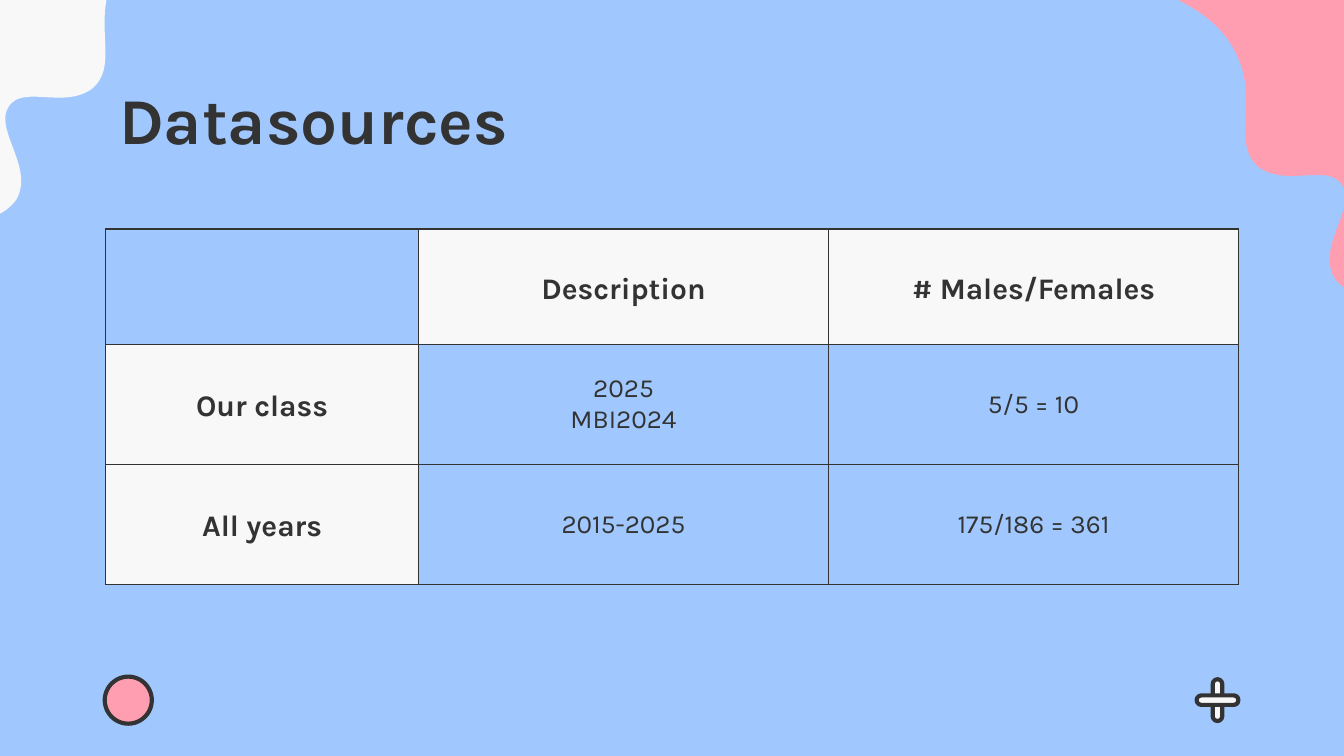
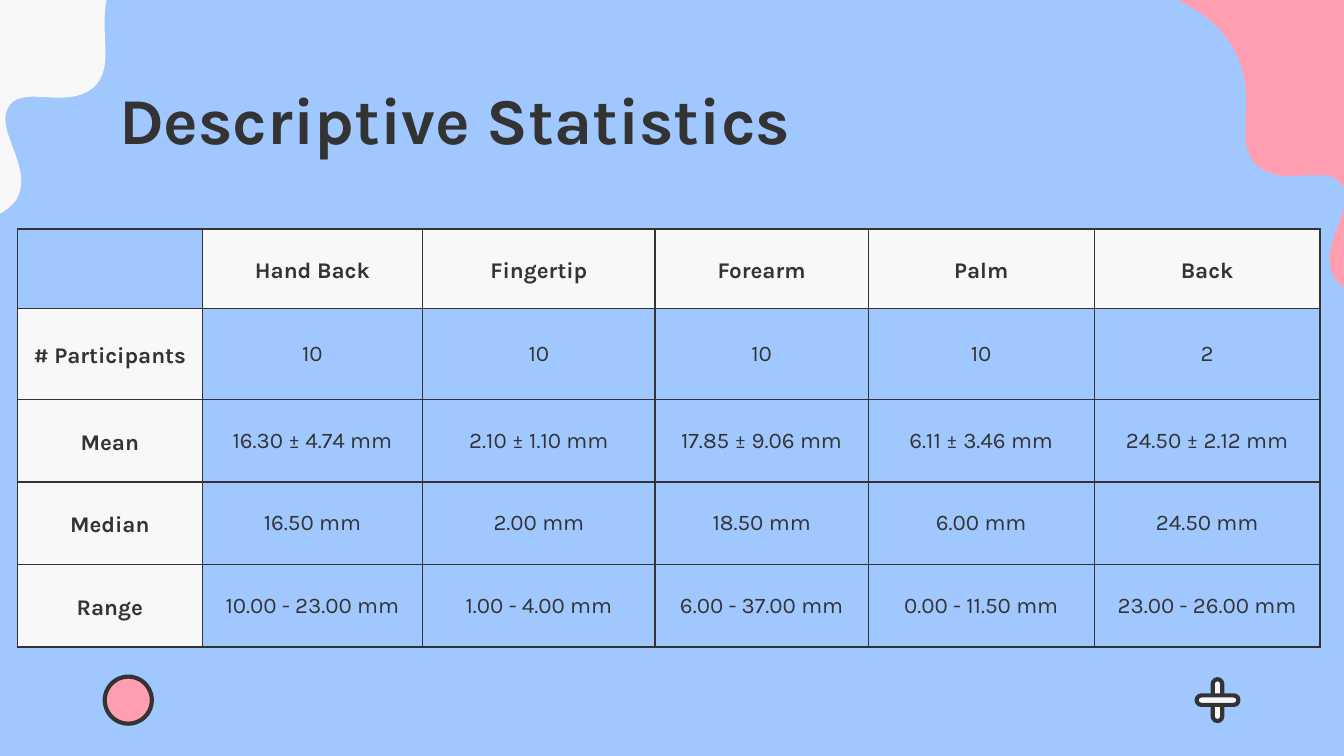
from math import cos, radians, sin

from lxml import etree
from pptx import Presentation
from pptx.dml.color import RGBColor
from pptx.enum.shapes import MSO_SHAPE
from pptx.enum.text import MSO_ANCHOR, PP_ALIGN
from pptx.oxml.ns import qn
from pptx.util import Cm, Pt

MIDDLE, TOP = MSO_ANCHOR.MIDDLE, MSO_ANCHOR.TOP
CENTER, LEFT = PP_ALIGN.CENTER, PP_ALIGN.LEFT
OVAL, ROUNDED = MSO_SHAPE.OVAL, MSO_SHAPE.ROUNDED_RECTANGLE

COLORS = {"sky": "A0C8FF", "pink": "FF9EB1", "paper": "F8F8F8", "ink": "333333"}
FONT = "Karla"
BLANK_LAYOUT = 6
TABLE_TOP = 4.33

SLIDES = [
    {
        "title": "Datasources",
        "left": 2.0,
        "columns": [5.91, 7.75, 7.75],
        "rows": [2.18, 2.27, 2.27],
        "label_size": 16,
        "value_size": 14,
        "cells": [
            ["", "Description", "# Males/Females"],
            ["Our class", "2025\nMBI2024", "5/5 = 10"],
            ["All years", "2015-2025", "175/186 = 361"],
        ],
    },
    {
        "title": "Descriptive Statistics",
        "left": 0.33,
        "columns": [3.49, 4.17, 4.39, 4.03, 4.27, 4.27],
        "rows": [1.5, 1.72, 1.56, 1.56, 1.56],
        "label_size": 12,
        "value_size": 12,
        "cells": [
            ["", "Hand Back", "Fingertip", "Forearm", "Palm", "Back"],
            ["# Participants", "10", "10", "10", "10", "2"],
            ["Mean", "16.30 ± 4.74 mm", "2.10 ± 1.10 mm", "17.85 ± 9.06 mm",
             "6.11 ± 3.46 mm", "24.50 ± 2.12 mm"],
            ["Median", "16.50 mm", "2.00 mm", "18.50 mm", "6.00 mm", "24.50 mm"],
            ["Range", "10.00 - 23.00 mm", "1.00 - 4.00 mm", "6.00 - 37.00 mm",
             "0.00 - 11.50 mm", "23.00 - 26.00 mm"],
        ],
    },
]

BLOB_TILT = -20.4
BLOB_CENTER = (25.1, 2.02)
BLOB_START = (26.14, 5.69)
BLOB_CURVES = [
    [(25.86, 5.69), (25.43, 5.56), (25.22, 5.26)],
    [(24.87, 4.65), (25.68, 3.91), (25.35, 3.48)],
    [(25.07, 3.1), (24.28, 3.56), (23.77, 3.15)],
    [(23.27, 2.69), (23.8, 1.91), (23.37, 1.04)],
    [(22.81, -0.18), (21.03, -0.28), (21.08, -0.56)],
    [(21.13, -0.97), (24.69, -1.57), (26.85, 0.43)],
    [(27.1, 0.66), (28.12, 1.63), (28.17, 2.95)],
    [(28.19, 4.32), (27.15, 5.72), BLOB_START],
]
MIRROR_WIDTH, MIRROR_RISE = 25.53, 1.48


def rgb(name):
    return RGBColor.from_string(COLORS[name])


def mirror(point):
    return MIRROR_WIDTH - point[0], point[1] - MIRROR_RISE


def turn(point, center, degrees):
    x, y = point[0] - center[0], point[1] - center[1]
    c, s = cos(radians(degrees)), sin(radians(degrees))
    return center[0] + x * c - y * s, center[1] + x * s + y * c


def style_shape(shape, fill, outlined):
    shape.shadow.inherit = False
    shape.fill.solid()
    shape.fill.fore_color.rgb = rgb(fill)
    if outlined:
        shape.line.color.rgb = rgb("ink")
        shape.line.width = Pt(2.25)
    else:
        shape.line.fill.background()


def lines_to_curves(shape):
    lines = list(shape._element.iter(qn("a:lnTo")))
    for index in range(0, len(lines), 3):
        curve = etree.Element(qn("a:cubicBezTo"))
        lines[index].addprevious(curve)
        for line in lines[index:index + 3]:
            curve.append(line[0])
            line.getparent().remove(line)


def add_blob(page, points, center, tilt, fill):
    upright = [turn(point, center, -tilt) for point in points]
    outline = [(Cm(x), Cm(y)) for x, y in upright]
    builder = page.shapes.build_freeform(*outline[0])
    builder.add_line_segments(outline[1:], close=True)
    blob = builder.convert_to_shape()
    lines_to_curves(blob)
    blob.rotation = tilt
    style_shape(blob, fill, False)


def add_mark(shapes, kind, fill, left, top, width, height):
    mark = shapes.add_shape(kind, Cm(left), Cm(top), Cm(width), Cm(height))
    style_shape(mark, fill, True)
    return mark


def write_text(frame, text, size, bold, align, spacing=1.0):
    for index, line in enumerate(text.split("\n")):
        para = frame.add_paragraph() if index else frame.paragraphs[0]
        para.alignment = align
        para.line_spacing = spacing
        span = para.add_run()
        span.text = line
        span.font.name = FONT
        span.font.size = Pt(size)
        span.font.bold = bold
        span.font.color.rgb = rgb("ink")


def add_title(page, text):
    box = page.shapes.add_textbox(Cm(2.0), Cm(1.24), Cm(21.41), Cm(1.6))
    frame = box.text_frame
    frame.word_wrap = True
    frame.vertical_anchor = TOP
    frame.margin_left = frame.margin_right = Cm(0.25)
    frame.margin_top = frame.margin_bottom = Cm(0.25)
    write_text(frame, text, 35, True, LEFT)


def add_borders(cell):
    properties = cell._tc.get_or_add_tcPr()
    for side in ("a:lnL", "a:lnR", "a:lnT", "a:lnB"):
        line = etree.SubElement(properties, qn(side), w=str(Pt(0.75)))
        fill = etree.SubElement(line, qn("a:solidFill"))
        etree.SubElement(fill, qn("a:srgbClr"), val=COLORS["ink"])


def add_data_table(page, content):
    columns, rows = content["columns"], content["rows"]
    table = page.shapes.add_table(
        len(rows), len(columns), Cm(content["left"]), Cm(TABLE_TOP),
        Cm(sum(columns)), Cm(sum(rows))).table
    table.first_row = table.horz_banding = False
    for column, width in zip(table.columns, columns):
        column.width = Cm(width)
    for row, height in zip(table.rows, rows):
        row.height = Cm(height)
    for r, texts in enumerate(content["cells"]):
        for c, text in enumerate(texts):
            cell = table.cell(r, c)
            add_borders(cell)
            cell.vertical_anchor = MIDDLE
            cell.margin_left = cell.margin_right = Cm(0.25)
            cell.margin_top = cell.margin_bottom = Cm(0.18)
            is_label = bool(text) and (r == 0 or c == 0)
            if is_label:
                cell.fill.solid()
                cell.fill.fore_color.rgb = rgb("paper")
            else:
                cell.fill.background()
            if text:
                size = content["label_size" if is_label else "value_size"]
                write_text(cell.text_frame, text, size, is_label, CENTER,
                           1.15 if is_label else 1.0)


def add_backdrop(page):
    page.background.fill.solid()
    page.background.fill.fore_color.rgb = rgb("sky")
    blob = [BLOB_START] + [point for curve in BLOB_CURVES for point in curve]
    add_blob(page, blob, BLOB_CENTER, BLOB_TILT, "pink")
    add_blob(page, [mirror(point) for point in blob], mirror(BLOB_CENTER),
             -BLOB_TILT, "paper")
    add_mark(page.shapes, OVAL, "pink", 1.98, 12.79, 0.89, 0.89)
    plus = page.shapes.add_group_shape()
    for rotation in (0, 90):
        bar = add_mark(plus.shapes, ROUNDED, "paper", 22.92, 12.84, 0.18, 0.79)
        bar.adjustments[0] = 0.5
        bar.rotation = rotation


def main():
    deck = Presentation()
    deck.slide_width, deck.slide_height = Cm(25.4), Cm(14.29)
    for content in SLIDES:
        page = deck.slides.add_slide(deck.slide_layouts[BLANK_LAYOUT])
        add_backdrop(page)
        add_title(page, content["title"])
        add_data_table(page, content)
    deck.save("out.pptx")


if __name__ == "__main__":
    main()
